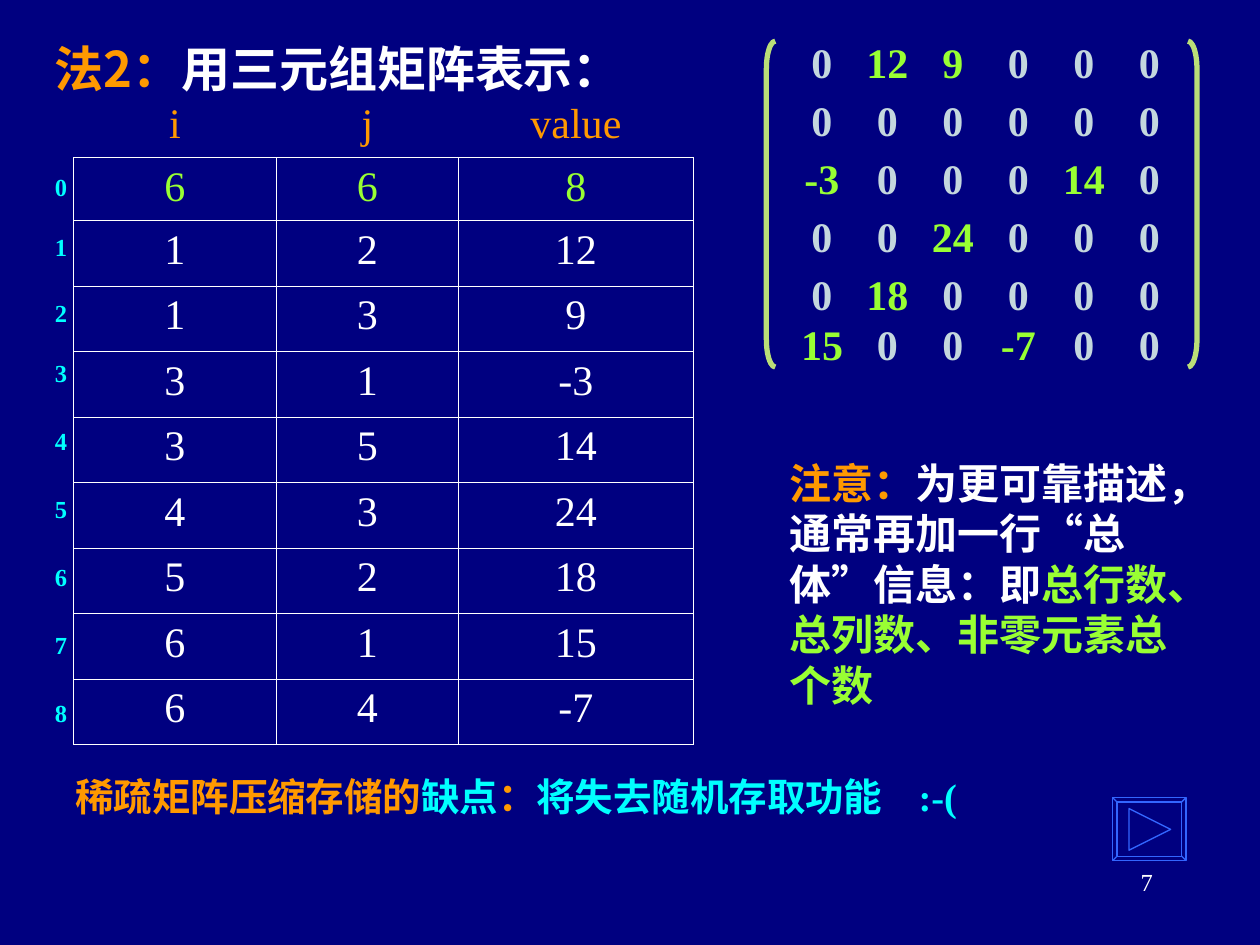
"""Build the slide on storing a sparse matrix as a table of triples."""
from lxml import etree
from pptx import Presentation
from pptx import util as u
from pptx.dml.color import RGBColor
from pptx.enum import shapes, text
from pptx.oxml import ns

NAVY = RGBColor(0x00, 0x00, 0x80)
ORANGE = RGBColor(0xFF, 0x99, 0x00)
WHITE = RGBColor(0xFF, 0xFF, 0xFF)
GREEN = RGBColor(0x99, 0xFF, 0x33)
CYAN = RGBColor(0x00, 0xFF, 0xFF)
PALE = RGBColor(0xC4, 0xD7, 0xDE)
LIME = RGBColor(0xBA, 0xDE, 0x78)
BLUE = RGBColor(0x33, 0x66, 0xFF)
SERIF, HAN = "Times New Roman", "Noto Sans CJK SC"

HEADING = [("法2：", ORANGE), ("用三元组矩阵表示：", WHITE)]
NOTE = [
    ("注意：", ORANGE),
    ("为更可靠描述，通常再加一行“总体”信息：即", WHITE),
    ("总行数、总列数、非零元素总个数", GREEN),
]
DRAWBACK = [
    ("稀疏矩阵压缩存储的", ORANGE),
    ("缺点", CYAN),
    ("：", ORANGE),
    ("将失去随机存取功能\t:-(", CYAN),
]
MATRIX = [
    (0, 12, 9, 0, 0, 0),
    (0, 0, 0, 0, 0, 0),
    (-3, 0, 0, 0, 14, 0),
    (0, 0, 24, 0, 0, 0),
    (0, 18, 0, 0, 0, 0),
    (15, 0, 0, -7, 0, 0),
]
MATRIX_TOPS = (0.66, 1.83, 3.0, 4.16, 5.33, 6.35)
COLUMN_NAMES = [("i", "j", "value")]
TOTALS = [(len(MATRIX), len(MATRIX[0]), sum(v != 0 for row in MATRIX for v in row))]
TRIPLES = [
    (i, j, value)
    for i, row in enumerate(MATRIX, 1)
    for j, value in enumerate(row, 1)
    if value
]
INDEXES = [(n,) for n in range(len(TRIPLES) + 1)]
TRIPLE_WIDTHS = (4.09, 3.67, 4.74)
INDEX_HEIGHTS = (1.22, 1.32, 1.22, 1.37, 1.37, 1.37, 1.37, 1.37, 1.22)


def write(frame, runs, size=24, font=SERIF, bold=False, align=text.PP_ALIGN.LEFT, tabs=()):
    paragraph = frame.paragraphs[0]
    paragraph.alignment = align
    if tabs:
        stops = etree.SubElement(paragraph._p.get_or_add_pPr(), ns.qn("a:tabLst"))
        for position, kind in tabs:
            etree.SubElement(stops, ns.qn("a:tab"), pos=str(u.Cm(position)), algn=kind)
    for words, colour in runs:
        run = paragraph.add_run()
        run.text = words
        run.font.size = u.Pt(size)
        run.font.bold = bold
        run.font.color.rgb = colour
        run.font.name = font
        etree.SubElement(run._r.get_or_add_rPr(), ns.qn("a:ea"), typeface=HAN)


def place_text(slide, box, runs, anchor=text.MSO_ANCHOR.TOP, **fmt):
    frame = slide.shapes.add_textbox(*map(u.Cm, box)).text_frame
    frame.word_wrap = True
    frame.vertical_anchor = anchor
    write(frame, runs, **fmt)


def rule_cell(cell, width):
    properties = cell._tc.get_or_add_tcPr()
    for place, side in enumerate(("lnL", "lnR", "lnT", "lnB")):
        edge = etree.Element(ns.qn("a:" + side), w=str(u.Pt(width)))
        if width:
            fill = etree.SubElement(edge, ns.qn("a:solidFill"))
            etree.SubElement(fill, ns.qn("a:srgbClr"), val=str(WHITE))
        else:
            etree.SubElement(edge, ns.qn("a:noFill"))
        properties.insert(place, edge)


def place_table(slide, left, top, rows, widths, heights, colour, border=0, **fmt):
    grid = slide.shapes.add_table(
        len(rows), len(widths), *map(u.Cm, (left, top, sum(widths), sum(heights)))
    ).table
    grid.first_row = grid.horz_banding = False
    for column, width in zip(grid.columns, widths):
        column.width = u.Cm(width)
    for r, (values, height) in enumerate(zip(rows, heights)):
        grid.rows[r].height = u.Cm(height)
        for c, value in enumerate(values):
            cell = grid.cell(r, c)
            cell.fill.background()
            rule_cell(cell, border)
            write(cell.text_frame, [(str(value), colour)], **fmt)


def outline(shape, colour, width):
    shape.shadow.inherit = False
    shape.fill.background()
    shape.line.color.rgb = colour
    shape.line.width = u.Pt(width)


def place_matrix(slide):
    kinds = (shapes.MSO_SHAPE.LEFT_BRACKET, shapes.MSO_SHAPE.RIGHT_BRACKET)
    for kind, left in zip(kinds, (15.45, 23.95)):
        bracket = slide.shapes.add_shape(kind, *map(u.Cm, (left, 0.83, 0.18, 6.57)))
        bracket.adjustments[0] = 3.1
        outline(bracket, LIME, 3)
    stops = [(0.42 + 1.32 * n, "ctr") for n in range(len(MATRIX[0]))]
    for values, top in zip(MATRIX, MATRIX_TOPS):
        runs = [(f"\t{v}", GREEN if v else PALE) for v in values]
        place_text(slide, (15.9, top, 8, 1.17), runs, text.MSO_ANCHOR.MIDDLE,
                   bold=True, tabs=stops)


def place_next_button(slide):
    frame = slide.shapes.add_shape(
        shapes.MSO_SHAPE.BEVEL, *map(u.Cm, (22.43, 16.08, 1.48, 1.27)))
    frame.adjustments[0] = 0.07
    outline(frame, BLUE, 0.75)
    builder = slide.shapes.build_freeform(u.Cm(22.76), u.Cm(16.3))
    builder.add_line_segments([(u.Cm(23.6), u.Cm(16.72)), (u.Cm(22.76), u.Cm(17.14))])
    outline(builder.convert_to_shape(), BLUE, 0.75)


def main():
    deck = Presentation()
    deck.slide_width, deck.slide_height = u.Cm(25.4), u.Cm(19.05)
    slide = deck.slides.add_slide(deck.slide_layouts[5])
    slide.background.fill.solid()
    slide.background.fill.fore_color.rgb = NAVY

    heading = slide.shapes.title
    heading.left, heading.top, heading.width, heading.height = map(
        u.Cm, (0.85, 0.64, 11.22, 2.64))
    heading.text_frame.vertical_anchor = text.MSO_ANCHOR.TOP
    heading.text_frame.auto_size = text.MSO_AUTO_SIZE.NONE
    write(heading.text_frame, HEADING, size=28, font=HAN, bold=True)

    place_matrix(slide)
    centre = text.PP_ALIGN.CENTER
    place_table(slide, 1.48, 4.45, TRIPLES, TRIPLE_WIDTHS, [1.32] * len(TRIPLES),
                WHITE, border=0.45, align=centre)
    place_table(slide, 1.48, 3.18, TOTALS, TRIPLE_WIDTHS, [1.27], GREEN,
                border=0.45, align=centre)
    place_table(slide, 1.48, 1.91, COLUMN_NAMES, TRIPLE_WIDTHS, [1.27], ORANGE,
                align=centre)
    place_table(slide, 0.85, 3.39, INDEXES, [0.85], INDEX_HEIGHTS, CYAN,
                size=14, bold=True)
    place_next_button(slide)
    place_text(slide, (15.67, 9.1, 8.68, 5.33), NOTE, font=HAN, bold=True)
    place_text(slide, (1.27, 15.45, 19.26, 1.2), DRAWBACK, size=22, bold=True,
               tabs=[(17, "l")])
    place_text(slide, (18.2, 17.36, 5.29, 1.27), [("7", WHITE)], size=14,
               align=text.PP_ALIGN.RIGHT)
    deck.save("out.pptx")


if __name__ == "__main__":
    main()
